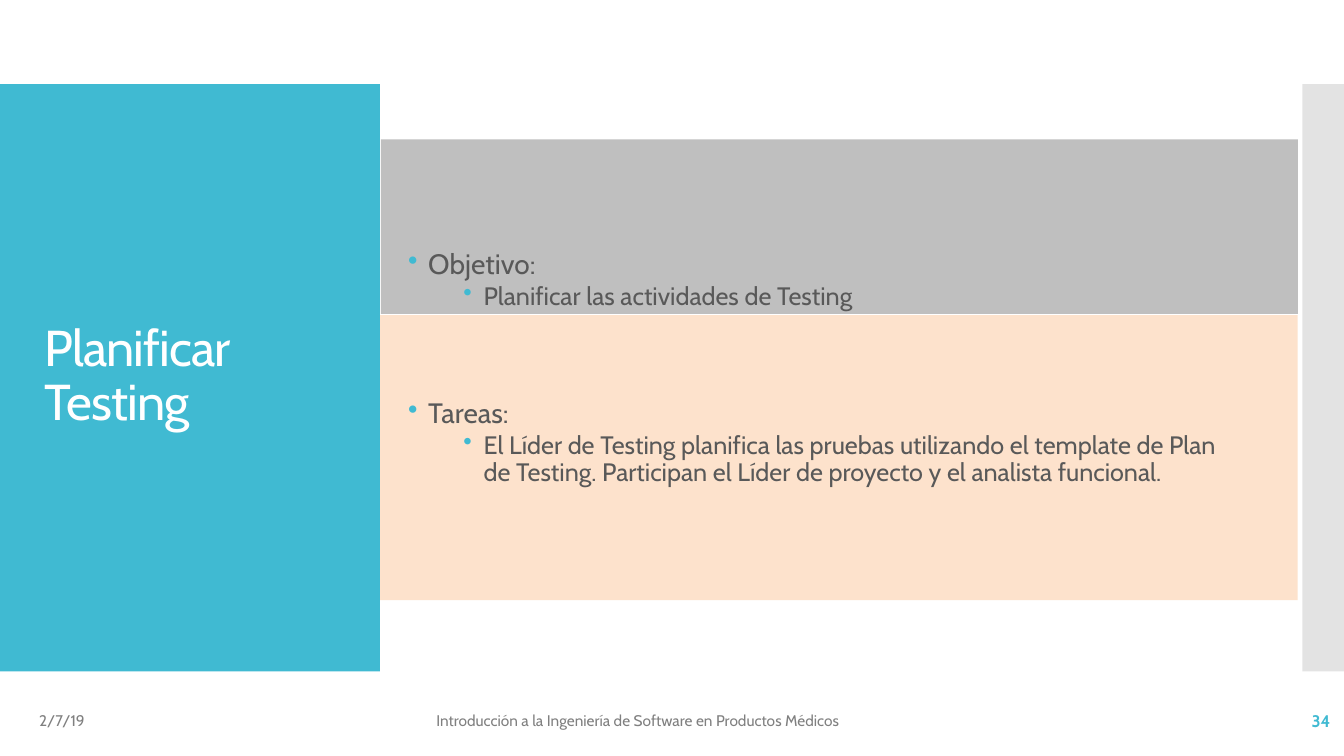
from dataclasses import dataclass

from lxml.etree import SubElement
from pptx import Presentation
from pptx.dml.color import RGBColor
from pptx.enum.shapes import MSO_SHAPE as Preset
from pptx.enum.text import MSO_ANCHOR as Anchor, MSO_AUTO_SIZE as AutoSize, PP_ALIGN as Align
from pptx.oxml.ns import qn
from pptx.util import Pt


@dataclass(frozen=True)
class Theme:
    font: str = "Cabin"
    accent: str = "40BAD2"
    edge: str = "C8C8C8"
    objective: str = "BFBFBF"
    tasks: str = "FDE2CC"
    title: str = "FFFFFF"
    body: str = "595959"
    footer: str = "808080"
    title_size: float = 36
    heading_size: float = 20
    detail_size: float = 18
    footer_size: float = 11
    number_size: float = 12


THEME = Theme()


def add_panel(slide, box, color, opacity=100):
    shape = slide.shapes.add_shape(Preset.RECTANGLE, *map(Pt, box))
    shape.shadow.inherit = False
    shape.fill.solid()
    shape.fill.fore_color.rgb = RGBColor.from_string(color)
    shape.line.fill.background()
    if opacity < 100:
        fill_color = shape.element.spPr.find(qn("a:solidFill"))[0]
        SubElement(fill_color, qn("a:alpha"), val=str(opacity * 1000))


def write(paragraph, text, *, size, color, bold=False, align=Align.LEFT,
          line=1, before=0, after=0, tracking=None):
    paragraph.alignment = align
    paragraph.line_spacing = line
    paragraph.space_before = Pt(before)
    paragraph.space_after = Pt(after)
    run = paragraph.add_run()
    run.text = text
    run.font.name = THEME.font
    run.font.size = Pt(size)
    run.font.bold = bold
    run.font.color.rgb = RGBColor.from_string(color)
    if tracking is not None:
        run.font._element.set("spc", str(round(tracking * 100)))


def add_bullet(paragraph, indent, hanging=14.4):
    properties = paragraph._p.get_or_add_pPr()
    properties.set("marL", str(Pt(indent)))
    properties.set("indent", str(-Pt(hanging)))
    bullet_color = SubElement(properties, qn("a:buClr"))
    SubElement(bullet_color, qn("a:srgbClr"), val=THEME.accent)
    SubElement(properties, qn("a:buChar"), char="•")


def format_frame(shape, anchor):
    frame = shape.text_frame
    frame.word_wrap = True
    frame.auto_size = AutoSize.NONE
    frame.vertical_anchor = anchor
    return frame


def add_text_frame(slide, box, anchor=Anchor.MIDDLE):
    return format_frame(slide.shapes.add_textbox(*map(Pt, box)), anchor)


def add_title(slide, box, text):
    title = slide.shapes.title
    title.left, title.top, title.width, title.height = map(Pt, box)
    frame = format_frame(title, Anchor.MIDDLE)
    write(frame.paragraphs[0], text, size=THEME.title_size, color=THEME.title,
          line=0.9, tracking=-0.6)
    title.element.getparent().append(title.element)


def add_outline(slide, box, sections, top_inset, section_gap):
    frame = add_text_frame(slide, box, Anchor.TOP)
    frame.margin_top = Pt(top_inset)
    for index, (heading, detail) in enumerate(sections):
        paragraph = frame.add_paragraph() if index else frame.paragraphs[0]
        write(paragraph, heading, size=THEME.heading_size, color=THEME.body,
              line=0.9, before=section_gap if index else 0)
        add_bullet(paragraph, 14.4)
        paragraph = frame.add_paragraph()
        paragraph.level = 1
        write(paragraph, detail, size=THEME.detail_size, color=THEME.body,
              line=0.9, before=2.5, after=2.5)
        add_bullet(paragraph, 54)


def add_footer(slide, left, width, text, **style):
    style = {"size": THEME.footer_size, "color": THEME.footer} | style
    frame = add_text_frame(slide, (left, 500.4, width, 28.8))
    write(frame.paragraphs[0], text, **style)


def main():
    presentation = Presentation()
    presentation.slide_width, presentation.slide_height = Pt(960), Pt(540)
    slide = presentation.slides.add_slide(presentation.slide_layouts[5])

    add_panel(slide, (0, 60, 271.4, 419.5), THEME.accent)
    add_panel(slide, (930.3, 60, 29.7, 419.5), THEME.edge, opacity=50)
    add_panel(slide, (272, 99.5, 655, 124.8), THEME.objective)
    add_panel(slide, (271.6, 225, 655.4, 203.6), THEME.tasks)

    add_title(slide, (24.5, 224.6, 221.8, 90), "Planificar Testing")
    sections = [
        ("Objetivo:", "Planificar las actividades de Testing"),
        ("Tareas:", "El Líder de Testing planifica las pruebas utilizando el "
                    "template de Plan de Testing. Participan el Líder de "
                    "proyecto y el analista funcional."),
    ]
    add_outline(slide, (284.4, 103, 604, 306), sections, top_inset=75.5, section_gap=60.5)

    add_footer(slide, 20.9, 216, "2/7/19")
    add_footer(slide, 304.6, 465, "Introducción a la Ingeniería de Software en Productos Médicos")
    add_footer(slide, 837.4, 120, "34", size=THEME.number_size, color=THEME.accent,
               bold=True, align=Align.RIGHT)
    presentation.save("out.pptx")


main()
